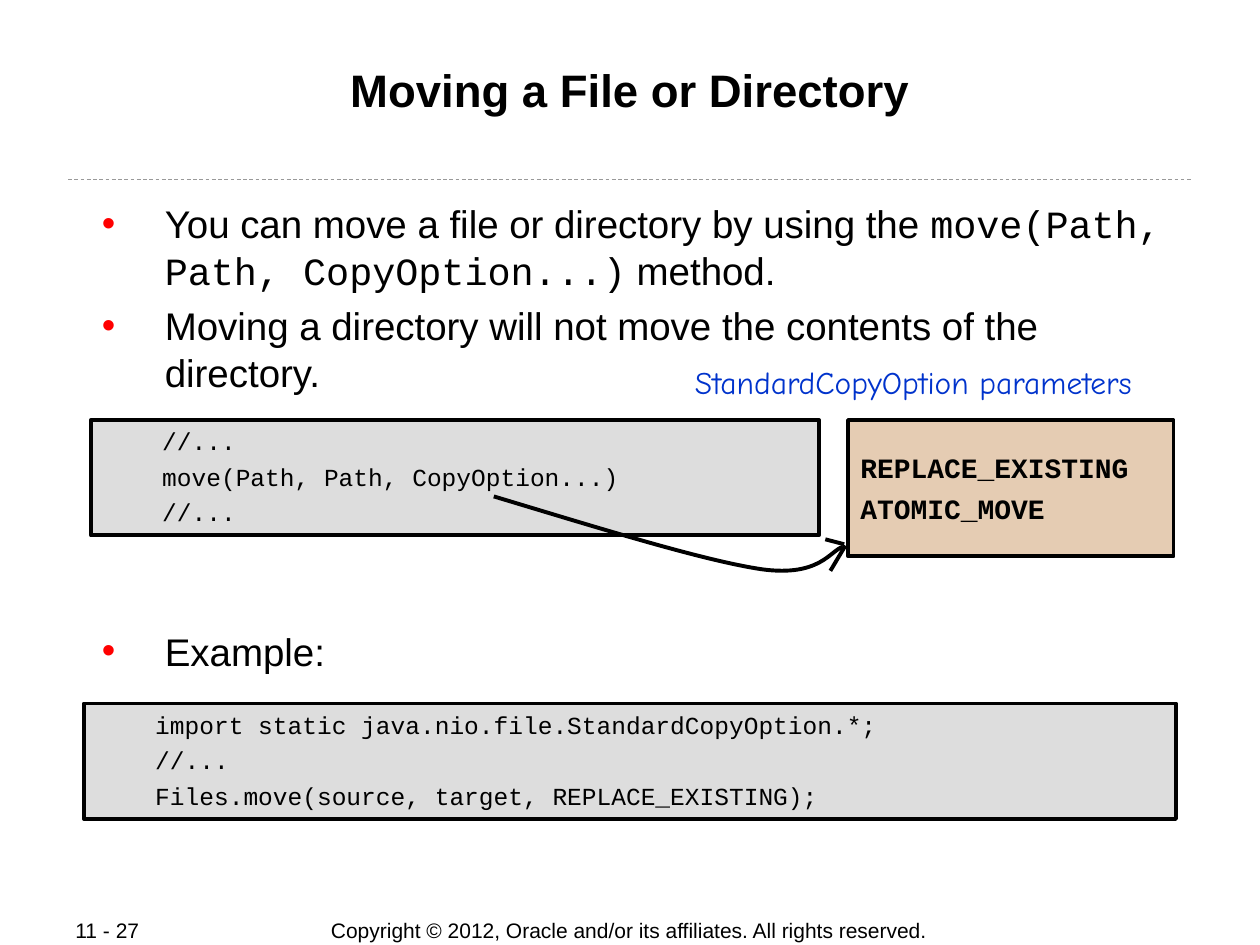
from lxml.etree import SubElement
from pptx import Presentation
from pptx.dml.color import RGBColor
from pptx.enum.dml import MSO_LINE
from pptx.enum.shapes import MSO_CONNECTOR, MSO_SHAPE
from pptx.enum.text import MSO_ANCHOR, PP_ALIGN
from pptx.oxml.ns import qn
from pptx.util import Pt

COLORS = {"text": "000000", "bullet": "FF0000", "rule": "999999", "code": "DDDDDD",
          "options": "E5CCB3", "label": "0033CC"}
SANS, MONO, HAND = "Arial", "Courier New", "Comic Neue"

TITLE = "Moving a File or Directory"
BULLETS = [
    (0, [("You can move a file or directory by using the ", SANS),
         ("move(Path, Path, CopyOption...)", MONO), (" method.", SANS)]),
    (5.5, [("Moving a directory will not move the contents of the directory.", SANS)]),
    (133, [("Example:", SANS)]),
]
PANELS = [
    {"box": (52, 240, 416, 66), "fill": "code", "size": 14, "gap": 3.5, "bold": False,
     "anchor": MSO_ANCHOR.TOP,
     "lines": ["    //...", "    move(Path, Path, CopyOption...)", "    //..."]},
    {"box": (484.6, 240, 186, 77.8), "fill": "options", "size": 16, "gap": 4, "bold": True,
     "anchor": MSO_ANCHOR.MIDDLE, "lines": ["REPLACE_EXISTING", "ATOMIC_MOVE"]},
    {"box": (48, 402, 624, 66), "fill": "code", "size": 14, "gap": 3.5, "bold": False,
     "anchor": MSO_ANCHOR.TOP,
     "lines": ["    import static java.nio.file.StandardCopyOption.*;", "    //...",
               "    Files.move(source, target, REPLACE_EXISTING);"]},
]
LABELS = [
    ("StandardCopyOption parameters", (374.4, 203.8, 295.2, 28.8), 18, HAND, "label",
     PP_ALIGN.CENTER, MSO_ANCHOR.TOP),
    ("11 - 27", (36, 524.2, 76, 14.8), 12, SANS, "text", PP_ALIGN.LEFT, MSO_ANCHOR.MIDDLE),
    ("Copyright © 2012, Oracle and/or its affiliates. All rights reserved.",
     (180, 524.2, 359, 14.8), 12, SANS, "text", PP_ALIGN.CENTER, MSO_ANCHOR.MIDDLE),
]
RULE = (39, 102.3, 681, 102.3)
ARROW_CURVE = [(282.2, 283.7), (342, 301.7), (401.8, 320.4), (435.6, 325.4),
               (468.7, 329.8), (474.5, 314.6), (481.7, 312.5)]
ARROW_HEAD = [(482.4, 311, 471.6, 308.2), (483.1, 311.8, 474.5, 326.2)]


def rgb(name):
    return RGBColor.from_string(COLORS[name])


def points(values):
    return [Pt(value) for value in values]


def add_run(paragraph, text, size, font_name, color="text", bold=False):
    run = paragraph.add_run()
    run.text = text
    font = run.font
    font.size, font.name, font.bold = Pt(size), font_name, bold
    font.color.rgb = rgb(color)


def set_frame(frame, anchor, inset=None):
    frame.word_wrap = True
    frame.vertical_anchor = anchor
    if inset is not None:
        frame.margin_left = frame.margin_right = Pt(inset)
        frame.margin_top = frame.margin_bottom = Pt(inset)


def next_paragraph(frame, index):
    return frame.add_paragraph() if index else frame.paragraphs[0]


def add_line(shapes, ends, color, width):
    connector = shapes.add_connector(MSO_CONNECTOR.STRAIGHT, *points(ends))
    connector.line.color.rgb = rgb(color)
    connector.line.width = Pt(width)
    SubElement(connector._element.spPr, qn("a:effectLst"))
    return connector


def add_title(slide):
    title = slide.shapes.title
    title.left, title.top, title.width, title.height = points((48, 34.6, 624, 69))
    set_frame(title.text_frame, MSO_ANCHOR.TOP, 0.72)
    paragraph = title.text_frame.paragraphs[0]
    paragraph.alignment = PP_ALIGN.CENTER
    add_run(paragraph, TITLE, 26, SANS, bold=True)


def add_bullets(slide):
    frame = slide.shapes.add_textbox(*points((48, 113.8, 624, 273))).text_frame
    set_frame(frame, MSO_ANCHOR.TOP, 0.72)
    for index, (gap, runs) in enumerate(BULLETS):
        paragraph = next_paragraph(frame, index)
        paragraph.space_before = Pt(gap)
        properties = paragraph._p.get_or_add_pPr()
        properties.set("marL", str(Pt(45.5)))
        properties.set("indent", str(Pt(-36)))
        bullet_color = SubElement(properties, qn("a:buClr"))
        SubElement(bullet_color, qn("a:srgbClr"), val=COLORS["bullet"])
        SubElement(properties, qn("a:buFont"), typeface=SANS)
        SubElement(properties, qn("a:buChar"), char="•")
        for text, font_name in runs:
            add_run(paragraph, text, 22, font_name)


def add_panel(slide, panel):
    shape = slide.shapes.add_shape(MSO_SHAPE.RECTANGLE, *points(panel["box"]))
    shape.shadow.inherit = False
    shape.fill.solid()
    shape.fill.fore_color.rgb = rgb(panel["fill"])
    shape.line.color.rgb = rgb("text")
    shape.line.width = Pt(2.25)
    set_frame(shape.text_frame, panel["anchor"])
    for index, line in enumerate(panel["lines"]):
        paragraph = next_paragraph(shape.text_frame, index)
        paragraph.alignment = PP_ALIGN.LEFT
        paragraph.space_before = Pt(panel["gap"] if index else 0)
        add_run(paragraph, line, panel["size"], MONO, bold=panel["bold"])


def add_label(slide, text, box, size, font_name, color, alignment, anchor):
    frame = slide.shapes.add_textbox(*points(box)).text_frame
    set_frame(frame, anchor)
    paragraph = frame.paragraphs[0]
    paragraph.alignment = alignment
    add_run(paragraph, text, size, font_name, color)


def add_arrow(slide):
    shapes = slide.shapes.add_group_shape().shapes
    for ends in ARROW_HEAD:
        add_line(shapes, ends, "text", 2.25)
    start, *controls = [points(point) for point in ARROW_CURVE]
    builder = shapes.build_freeform(*start)
    builder.add_line_segments(controls, close=False)
    curve = builder.convert_to_shape()
    curve.shadow.inherit = False
    curve.fill.background()
    curve.line.color.rgb = rgb("text")
    curve.line.width = Pt(2.25)
    outline = next(curve._element.iter(qn("a:path")))
    segments = outline.findall(qn("a:lnTo"))
    for first in range(0, len(segments), 3):
        bezier = SubElement(outline, qn("a:cubicBezTo"))
        for segment in segments[first:first + 3]:
            bezier.append(segment[0])
            outline.remove(segment)


def main():
    """Build the slide on moving files and directories."""
    presentation = Presentation()
    presentation.slide_width, presentation.slide_height = Pt(720), Pt(540)
    slide = presentation.slides.add_slide(presentation.slide_layouts[5])
    add_title(slide)
    add_line(slide.shapes, RULE, "rule", 0.5).line.dash_style = MSO_LINE.DASH
    add_bullets(slide)
    for panel in PANELS:
        add_panel(slide, panel)
    add_arrow(slide)
    for label in LABELS:
        add_label(slide, *label)
    presentation.save("out.pptx")


if __name__ == "__main__":
    main()
